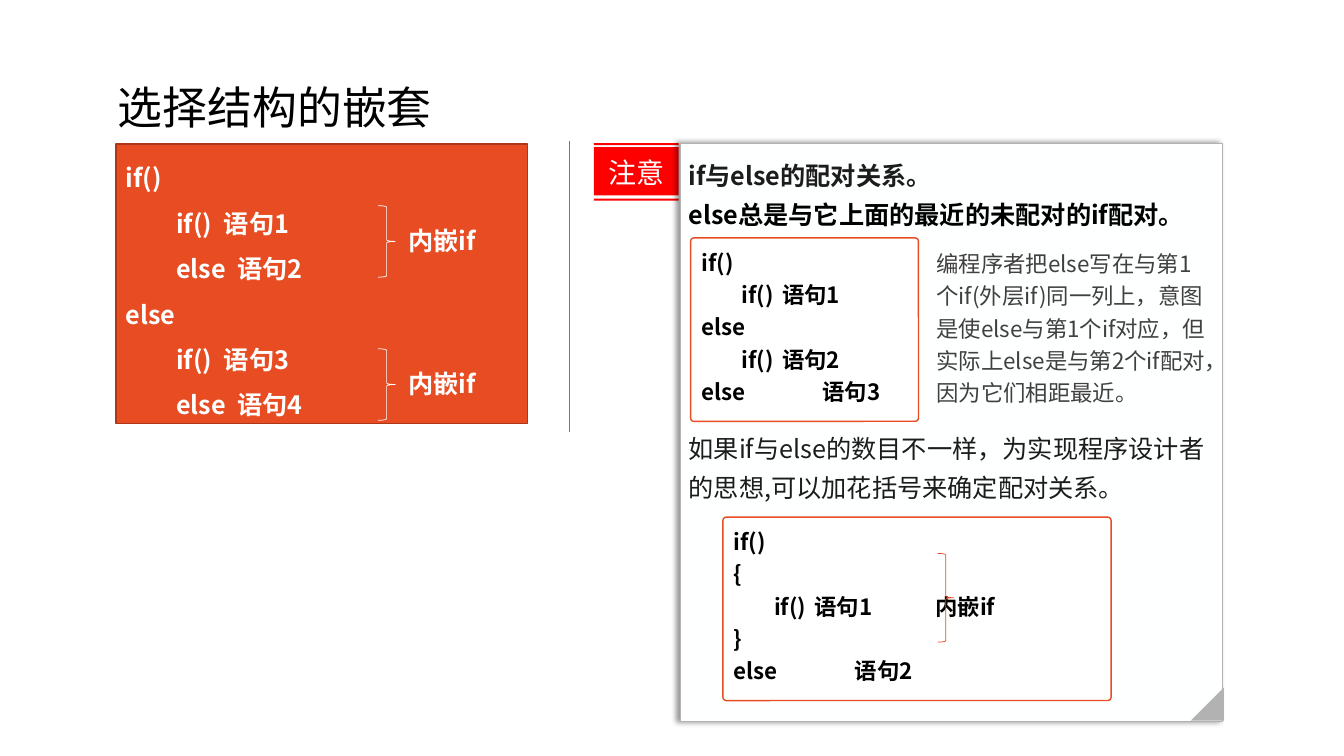
from lxml.etree import SubElement
from pptx import Presentation
from pptx.dml.color import RGBColor
from pptx.enum.shapes import MSO_CONNECTOR, MSO_SHAPE
from pptx.enum.text import MSO_ANCHOR, MSO_AUTO_SIZE, PP_ALIGN
from pptx.oxml.ns import qn
from pptx.util import Inches, Pt

FONT = "Noto Sans CJK SC"
ORANGE, RED, GREY = "E84C22", "FF0000", "B2B2B2"
BLACK, DARK, WHITE, PAPER = "000000", "1C1C1C", "FFFFFF", "FEFFFF"
TAB_STEP = 0.4


def color(hex_string):
    return RGBColor.from_string(hex_string)


def set_format(target, values):
    for name, value in values.items():
        setattr(target, name, value)


def write_paragraph(paragraph, text, size, text_color, bold=False, **layout):
    run = paragraph.add_run()
    run.text = text
    set_format(run.font, {"name": FONT, "size": Pt(size), "bold": bold})
    run.font.color.rgb = color(text_color)
    SubElement(run.font._element, qn("a:ea"), typeface=FONT)
    set_format(paragraph, {"alignment": PP_ALIGN.LEFT, **layout})


def write_lines(shape, lines, size, text_color, bold=False, **layout):
    frame = shape.text_frame
    for index, line in enumerate(lines):
        paragraph = frame.add_paragraph() if index else frame.paragraphs[0]
        write_paragraph(paragraph, line, size, text_color, bold, **layout)


def add_tab_stops(shape, count=6):
    for paragraph in shape.text_frame.paragraphs:
        tab_list = SubElement(paragraph._p.get_or_add_pPr(), qn("a:tabLst"))
        for number in range(1, count + 1):
            position = Inches(TAB_STEP * number)
            SubElement(tab_list, qn("a:tab"), pos=str(position), algn="l")


def style_shape(shape, fill=None, line=None, width=1):
    shape.shadow.inherit = False
    if fill:
        shape.fill.solid()
        shape.fill.fore_color.rgb = color(fill)
    else:
        shape.fill.background()
    if line:
        shape.line.color.rgb = color(line)
        shape.line.width = Pt(width)
    else:
        shape.line.fill.background()


def add_box(slide, kind, box, fill=None, line=None, width=1, anchor=MSO_ANCHOR.MIDDLE):
    shape = slide.shapes.add_shape(kind, *map(Inches, box))
    style_shape(shape, fill, line, width)
    set_format(shape.text_frame, {"word_wrap": True, "vertical_anchor": anchor})
    return shape


def add_label(slide, box, text, size, text_color, bold=False, line_spacing=1.0):
    label = slide.shapes.add_textbox(*map(Inches, box))
    set_format(label.text_frame, {"word_wrap": True, "auto_size": MSO_AUTO_SIZE.SHAPE_TO_FIT_TEXT})
    write_lines(label, [text], size, text_color, bold, line_spacing=line_spacing)


def add_brace(slide, box, line):
    add_box(slide, MSO_SHAPE.RIGHT_BRACE, box, line=line, width=0.5)


def add_code_panel(slide, box, lines):
    panel = add_box(slide, MSO_SHAPE.ROUNDED_RECTANGLE, box, WHITE, ORANGE, anchor=MSO_ANCHOR.TOP)
    panel.adjustments[0] = 0.018
    write_lines(panel, lines, 16, BLACK, True, line_spacing=1.2)
    add_tab_stops(panel)


def add_divider(slide, x, top, bottom):
    divider = slide.shapes.add_connector(
        MSO_CONNECTOR.STRAIGHT, Inches(x), Inches(top), Inches(x), Inches(bottom))
    divider.line.color.rgb = color(ORANGE)
    divider.line.width = Pt(0.5)
    SubElement(divider._element.spPr, qn("a:effectLst"))


def add_ribbon(slide, left, right, bands, text):
    builder = None
    for top, bottom in bands:
        corners = [(Inches(x), Inches(y)) for x, y in
                   ((left, top), (right, top), (right, bottom), (left, bottom))]
        if builder is None:
            builder = slide.shapes.build_freeform(*corners[0])
        else:
            builder.move_to(*corners[0])
        builder.add_line_segments(corners[1:], close=True)
    ribbon = builder.convert_to_shape()
    style_shape(ribbon, RED)
    ribbon.text_frame.vertical_anchor = MSO_ANCHOR.MIDDLE
    write_lines(ribbon, [text], 20, PAPER, alignment=PP_ALIGN.CENTER)


def add_left_shadow(shape):
    effects = shape._element.spPr.find(qn("a:effectLst"))
    shadow = SubElement(effects, qn("a:outerShdw"), blurRad=str(Pt(4)), dist=str(Pt(3)),
                        dir="10800000", algn="r", rotWithShape="0")
    shade = SubElement(shadow, qn("a:srgbClr"), val=BLACK)
    SubElement(shade, qn("a:alpha"), val="40000")


def add_note_page(slide):
    page = add_box(slide, MSO_SHAPE.RECTANGLE, (6.75, 1.42, 5.38, 5.74), PAPER, GREY, 0.75,
                   MSO_ANCHOR.TOP)
    add_left_shadow(page)
    frame = page.text_frame
    sides = ("left", "top", "right", "bottom")
    set_format(frame, {f"margin_{side}": Inches(0.08) for side in sides})
    write_paragraph(frame.paragraphs[0], "if与else的配对关系。", 18, DARK, True, line_spacing=1.3)
    write_paragraph(frame.add_paragraph(), "else总是与它上面的最近的未配对的if配对。",
                    18, BLACK, True, line_spacing=1.3)
    # The gap leaves room for the first code panel
    write_paragraph(frame.add_paragraph(),
                    "如果if与else的数目不一样，为实现程序设计者的思想,可以加花括号来确定配对关系。",
                    18, DARK, line_spacing=1.3, space_before=Pt(139))
    corner = add_box(slide, MSO_SHAPE.RIGHT_TRIANGLE, (11.81, 6.82, 0.33, 0.33), GREY)
    corner.rotation = 270


def add_title(slide, text):
    title = slide.shapes.title
    box = dict(zip(("left", "top", "width", "height"), map(Inches, (1.07, 0.37, 6.48, 1.45))))
    set_format(title, box)
    title.text_frame.vertical_anchor = MSO_ANCHOR.MIDDLE
    write_lines(title, [text], 32, BLACK, line_spacing=0.9)


def main():
    presentation = Presentation()
    set_format(presentation, {"slide_width": Inches(13.33), "slide_height": Inches(7.5)})
    slide = presentation.slides.add_slide(presentation.slide_layouts[5])
    add_title(slide, "选择结构的嵌套")

    # Nested structure on the left
    nesting = add_box(slide, MSO_SHAPE.RECTANGLE, (1.15, 1.43, 4.08, 2.77), ORANGE, "AC3819")
    write_lines(nesting, ["if()", "\tif()  语句1", "\telse  语句2",
                          "else", "\tif()  语句3", "\telse  语句4"],
                18, WHITE, True, line_spacing=1.5)
    for top in (2.04, 3.46):
        add_brace(slide, (3.75, top, 0.17, 0.71), WHITE)
        add_label(slide, (3.95, top + 0.15, 1.11, 0.4), "内嵌if", 18, WHITE, True)

    # Note page on the right
    add_ribbon(slide, 5.89, 6.73, [(1.97, 1.99), (1.46, 1.94), (1.42, 1.44)], "注意")
    add_note_page(slide)
    add_divider(slide, 5.65, 1.4, 4.29)

    # Code examples
    add_code_panel(slide, (6.85, 2.36, 2.26, 1.82),
                   ["if()", "\tif()\t语句1", "else", "\tif()\t语句2", "else\t\t语句3"])
    add_label(slide, (9.19, 2.38, 2.86, 1.72),
              "编程序者把else写在与第1个if(外层if)同一列上，意图是使else与第1个if对应，"
              "但实际上else是与第2个if配对，因为它们相距最近。", 16, "404040", line_spacing=1.2)
    add_code_panel(slide, (7.17, 5.13, 3.85, 1.82),
                   ["if()", "{", "\tif()\t语句1\t\t内嵌if", "}", "else\t\t语句2"])
    add_brace(slide, (9.3, 5.49, 0.16, 0.88), ORANGE)

    presentation.save("out.pptx")


if __name__ == "__main__":
    main()
